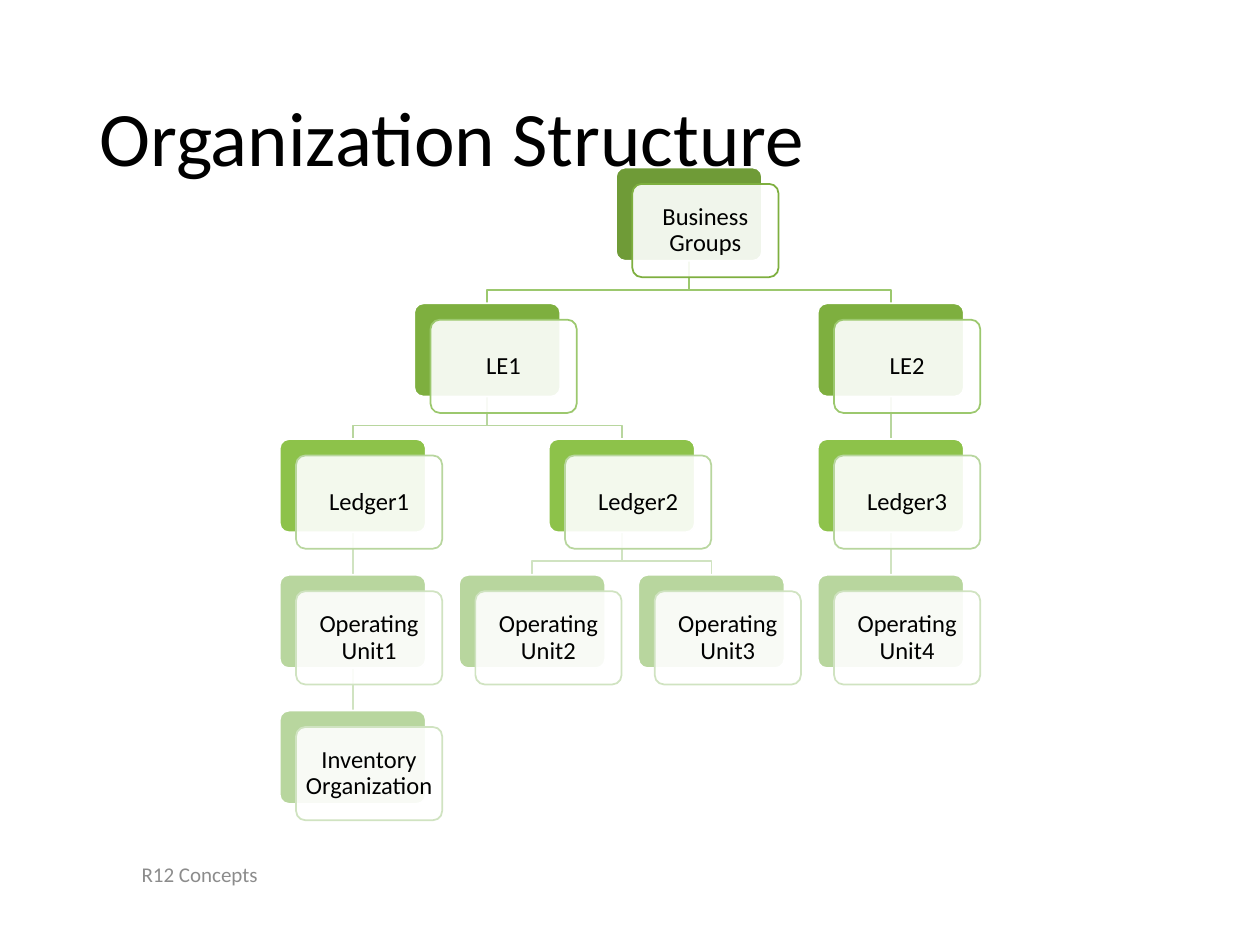
from lxml import etree
from pptx import Presentation
from pptx.dml.color import RGBColor
from pptx.enum.shapes import MSO_CONNECTOR, MSO_SHAPE
from pptx.enum.text import MSO_ANCHOR, PP_ALIGN
from pptx.oxml.ns import qn
from pptx.util import Inches, Pt

ROUNDED = MSO_SHAPE.ROUNDED_RECTANGLE
STRAIGHT = MSO_CONNECTOR.STRAIGHT
MIDDLE = MSO_ANCHOR.MIDDLE
LEFT, CENTER = PP_ALIGN.LEFT, PP_ALIGN.CENTER

FONT = "Calibri"
BLACK = RGBColor(0x00, 0x00, 0x00)
WHITE = RGBColor(0xFF, 0xFF, 0xFF)
GREY = RGBColor(0x8C, 0x8C, 0x8C)
DARK = RGBColor(0x6F, 0x9B, 0x37)
GREEN = RGBColor(0x7E, 0xAF, 0x3F)
BRIGHT = RGBColor(0x8D, 0xC2, 0x4A)
SOFT = RGBColor(0x9C, 0xC8, 0x6E)
LIGHT = RGBColor(0xB8, 0xD6, 0x9E)
PALE = RGBColor(0xD0, 0xE3, 0xC1)

LEVELS = [(DARK, GREEN), (GREEN, SOFT), (BRIGHT, LIGHT), (LIGHT, PALE), (LIGHT, PALE)]
CARD_W, CARD_H = Inches(1.16), Inches(0.74)
OFFSET = Inches(0.13)
BEND = Inches(0.23)

ORGANIZATION = ("Business Groups", [
    ("LE1", [
        ("Ledger1", [("Operating Unit1", [("Inventory Organization", [])])]),
        ("Ledger2", [("Operating Unit2", []), ("Operating Unit3", [])]),
    ]),
    ("LE2", [("Ledger3", [("Operating Unit4", [])])]),
])


def write(shape, text, size, color=BLACK, align=CENTER, spacing=1.0, inset=0.1):
    """Put one formatted paragraph into a shape."""
    tf = shape.text_frame
    tf.word_wrap = True
    tf.vertical_anchor = MIDDLE
    tf.margin_left = tf.margin_right = Inches(inset)
    tf.margin_top = tf.margin_bottom = Inches(0.05)
    p = tf.paragraphs[0]
    p.alignment = align
    p.line_spacing = spacing
    r = p.add_run()
    r.text = text
    r.font.name = FONT
    r.font.size = Pt(size)
    r.font.color.rgb = color


def add_text(s, box, text, **fmt):
    """Add a text box."""
    write(s.shapes.add_textbox(*map(Inches, box)), text, **fmt)


def add_card(s, left, top, fill, line, opacity=100):
    """Add one rounded card."""
    sp = s.shapes.add_shape(ROUNDED, left, top, CARD_W, CARD_H)
    sp.adjustments[0] = 0.1
    sp.shadow.inherit = False
    sp.fill.solid()
    sp.fill.fore_color.rgb = fill
    sp.line.color.rgb = line
    sp.line.width = Pt(1)
    if opacity < 100:
        color = sp._element.spPr.find(qn("a:solidFill"))[0]
        etree.SubElement(color, qn("a:alpha"), val=str(opacity * 1000))
    return sp


def add_node(s, left, top, text, level):
    """Add a coloured card with a labelled card over it and return the first."""
    fill, line = LEVELS[level]
    back = add_card(s, left, top, fill, WHITE)
    front = add_card(s, left + OFFSET, top + OFFSET, WHITE, line, opacity=90)
    write(front, text, 14, spacing=0.9, inset=0.03)
    return back


def add_link(s, parent, child, color):
    """Link a parent to a child, behind all cards."""
    x1, y1 = parent.left + CARD_W // 2, parent.top + CARD_H
    x2, y2 = child.left + CARD_W // 2, child.top
    if x1 == x2:
        sp = s.shapes.add_connector(STRAIGHT, x1, y1, x2, y2)
        sp.begin_connect(parent, 2)
        sp.end_connect(child, 0)
        etree.SubElement(sp._element.spPr, qn("a:effectLst"))
    else:
        fb = s.shapes.build_freeform(x1, y1)
        fb.add_line_segments([(x1, y1 + BEND), (x2, y1 + BEND), (x2, y2)], close=False)
        sp = fb.convert_to_shape()
        sp.fill.background()
        sp.shadow.inherit = False
    sp.line.color.rgb = color
    sp.line.width = Pt(1)
    s.shapes._spTree.insert(2, sp._element)


def count_leaves(node):
    """Count the columns that a branch takes."""
    return sum(map(count_leaves, node[1])) or 1


def add_branch(s, node, left, top, pitch_x, pitch_y, level=0):
    """Add a branch from its first column on, each parent centred over its children."""
    text, children = node
    cards = []
    column = left
    for child in children:
        cards.append(add_branch(s, child, column, top + pitch_y, pitch_x, pitch_y, level + 1))
        column += pitch_x * count_leaves(child)
    x = (cards[0].left + cards[-1].left) // 2 if cards else left
    card = add_node(s, x, top, text, level)
    for child_card in cards:
        add_link(s, card, child_card, LEVELS[level + 1][1])
    return card


def add_org_chart(s, box, tree):
    """Fit the tree into a box, with equal columns and rows."""
    left, top, width, height = map(Inches, box)
    pitch_x = (width - CARD_W - OFFSET) // (count_leaves(tree) - 1)
    pitch_y = (height - CARD_H - OFFSET) // (len(LEVELS) - 1)
    add_branch(s, tree, left, top, pitch_x, pitch_y)


def main():
    """Build the slide."""
    prs = Presentation()
    prs.slide_width, prs.slide_height = Inches(10), Inches(7.5)
    s = prs.slides.add_slide(prs.slide_layouts[6])
    add_text(s, (0.69, 0.4, 8.62, 1.45), "Organization Structure",
             size=44, align=LEFT, spacing=0.9)
    add_org_chart(s, (2.22, 1.33, 5.56, 5.18), ORGANIZATION)
    add_text(s, (0, 6.74, 3.17, 0.4), "R12 Concepts", size=12, color=GREY)
    prs.save("out.pptx")


if __name__ == "__main__":
    main()
